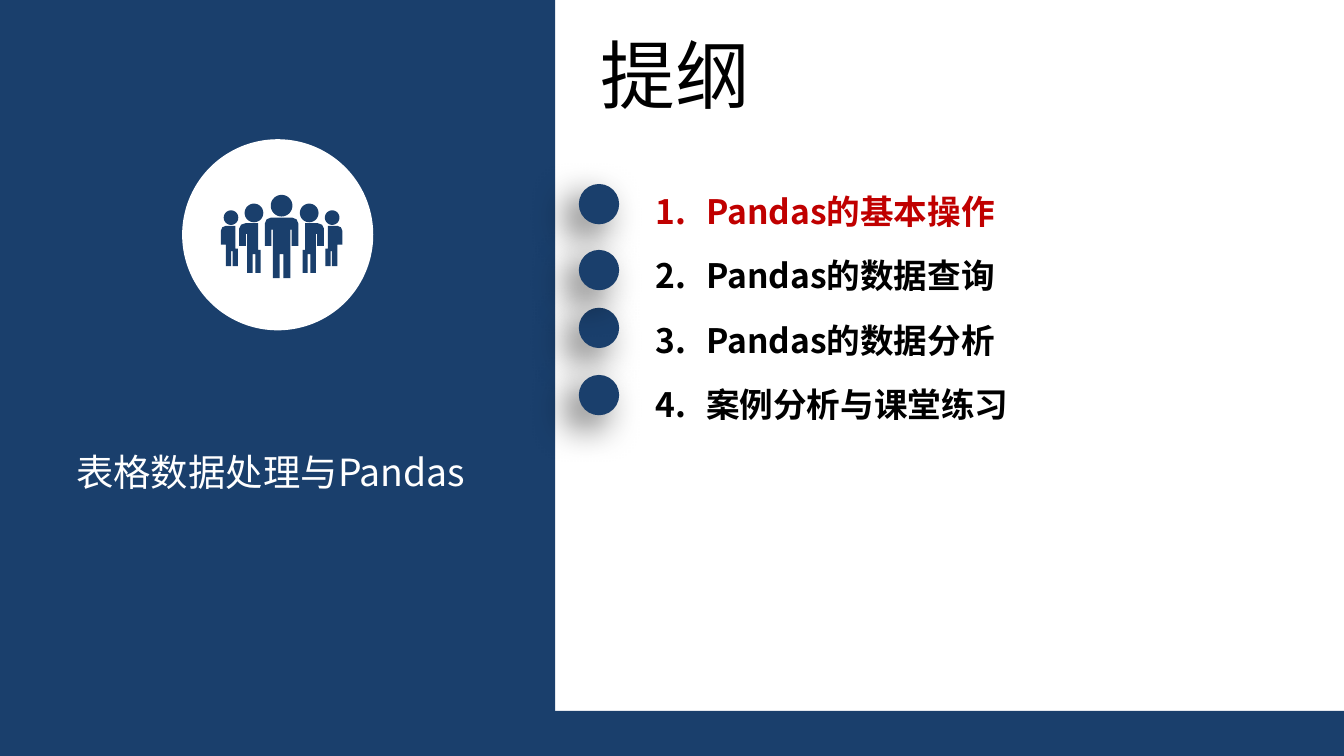
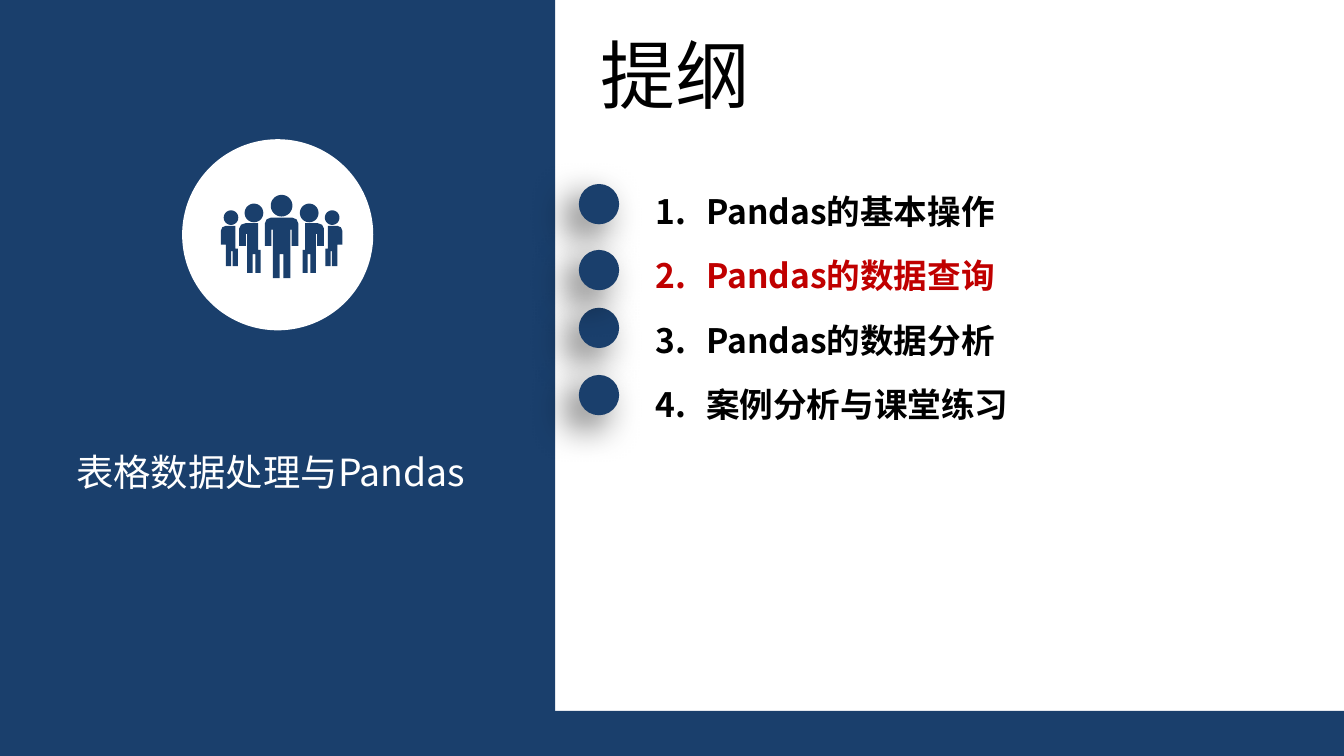
import math

import lxml.etree
import pptx
import pptx.dml.color
import pptx.enum.shapes
import pptx.enum.text
import pptx.oxml.ns
import pptx.util

Pt = pptx.util.Pt
qn = pptx.oxml.ns.qn
SHAPE = pptx.enum.shapes.MSO_SHAPE
ALIGN = pptx.enum.text.PP_ALIGN
AUTO_SIZE = pptx.enum.text.MSO_AUTO_SIZE

NAVY = pptx.dml.color.RGBColor(0x1A, 0x3F, 0x6C)
WHITE = pptx.dml.color.RGBColor(0xFF, 0xFF, 0xFF)
BLACK = pptx.dml.color.RGBColor(0, 0, 0)
RED = pptx.dml.color.RGBColor(0xC0, 0, 0)
FONT = "Noto Sans CJK SC"

WIDTH, HEIGHT = 720, 405
PANEL_WIDTH = 297.4
BAND_TOP = 380.8
DOT_LEFT, DOT_SIZE = 310.1, 21.6
DOT_TOPS = [98.6, 164.9, 133.9, 200.9]
TOPICS = ["Pandas的基本操作", "Pandas的数据查询", "Pandas的数据分析", "案例分析与课堂练习"]

# People icon: horizontal distances are measured from its axis of symmetry.
AXIS = 150.9
HEADS = [(0, 110.2, 5.8), (14.8, 114.1, 5), (-14.8, 114.1, 5),
         (27.1, 116.6, 3.9), (-27.1, 116.6, 3.9)]
LEADER_HALF = [(0, 136.1), (1, 136.1), (1, 149), (4.7, 149), (4.7, 123.1), (5.4, 123.1),
               (5.4, 131.8), (9, 131.8), (9, 119.8), (8, 117.5), (5.7, 116.6), (0, 116.6)]
MIDDLE_BODY = [(11.2, 133.9), (11.2, 146.2), (14, 146.2), (14, 136.1), (15.5, 136.1),
               (15.5, 146.2), (18.4, 146.2), (18.4, 125.3), (19.1, 125.3), (19.1, 131.8),
               (22.7, 131.8), (22.7, 122.4), (21.7, 120.4), (19.1, 119.5), (12.6, 119.5),
               (12.6, 133.9)]
OUTER_BODY = [(23.4, 133.2), (23.4, 142.6), (26.3, 142.6), (26.3, 134.6), (27, 134.6),
              (27, 142.6), (29.9, 142.6), (29.9, 131), (32.6, 131), (32.6, 123.8),
              (31.8, 121.8), (29.9, 121), (24.8, 121), (24.8, 133.2)]

outlines = [LEADER_HALF + [(-x, y) for x, y in reversed(LEADER_HALF)]]
for body in (MIDDLE_BODY, OUTER_BODY):
    outlines += [body, [(-x, y) for x, y in body]]
for x, y, radius in HEADS:
    angles = [math.radians(step * 10) for step in range(36)]
    outlines.append([(x + radius * math.cos(a), y + radius * math.sin(a)) for a in angles])
outlines = [[(Pt(AXIS + x), Pt(y)) for x, y in outline] for outline in outlines]


def add_filled(shapes, kind, left, top, width, height, color):
    shape = shapes.add_shape(kind, Pt(left), Pt(top), Pt(width), Pt(height))
    shape.shadow.inherit = False
    shape.fill.solid()
    shape.fill.fore_color.rgb = color
    shape.line.fill.background()
    return shape


def add_text(slide, lines, left, top, width, height, *, size, colors, bold=False,
             align=ALIGN.LEFT, wrap=False, inset=True, numbered=False, spacing=None):
    frame = slide.shapes.add_textbox(Pt(left), Pt(top), Pt(width), Pt(height)).text_frame
    frame.word_wrap = wrap
    frame.auto_size = AUTO_SIZE.SHAPE_TO_FIT_TEXT
    if not inset:
        frame.margin_left = frame.margin_top = frame.margin_right = frame.margin_bottom = 0
    for index, (line, color) in enumerate(zip(lines, colors)):
        paragraph = frame.paragraphs[0] if index == 0 else frame.add_paragraph()
        paragraph.alignment = align
        if spacing:
            paragraph.line_spacing = spacing
        if numbered:
            properties = paragraph._p.get_or_add_pPr()
            properties.set("marL", str(Pt(27)))
            properties.set("indent", str(-Pt(27)))
            lxml.etree.SubElement(properties, qn("a:buFont"), typeface="+mj-lt")
            lxml.etree.SubElement(properties, qn("a:buAutoNum"), type="arabicPeriod")
        run = paragraph.add_run()
        run.text = line
        run.font.size = Pt(size)
        run.font.bold = bold
        run.font.color.rgb = color
        run.font.name = FONT
        lxml.etree.SubElement(run._r.get_or_add_rPr(), qn("a:ea"), typeface=FONT)


deck = pptx.Presentation()
deck.slide_width, deck.slide_height = Pt(WIDTH), Pt(HEIGHT)

for current in (0, 1):
    slide = deck.slides.add_slide(deck.slide_layouts[6])
    add_filled(slide.shapes, SHAPE.RECTANGLE, 0, BAND_TOP, WIDTH, HEIGHT - BAND_TOP, NAVY)
    add_filled(slide.shapes, SHAPE.RECTANGLE, 0, 0, PANEL_WIDTH, HEIGHT, NAVY)
    add_text(slide, ["提纲"], 314.6, 12.2, 95, 55.4, size=40, colors=[BLACK])
    add_text(slide, ["表格数据处理与Pandas"], 38.9, 240.5, 212.4, 24.5, size=20,
             colors=[WHITE], align=ALIGN.CENTER, wrap=True, inset=False)

    icon = slide.shapes.add_group_shape()
    add_filled(icon.shapes, SHAPE.OVAL, 97.6, 74.6, 102.4, 102.4, WHITE)
    builder = icon.shapes.build_freeform(*outlines[0][0])
    for outline in outlines:
        builder.move_to(*outline[0])
        builder.add_line_segments(outline[1:], close=True)
    people = builder.convert_to_shape()
    people.shadow.inherit = False
    people.fill.solid()
    people.fill.fore_color.rgb = NAVY
    people.line.fill.background()

    topic_colors = [RED if index == current else BLACK for index in range(len(TOPICS))]
    add_text(slide, TOPICS, 344.2, 85.7, 205.2, 146.9, size=18, colors=topic_colors,
             bold=True, numbered=True, spacing=1.6)

    for top in DOT_TOPS:
        dot = add_filled(slide.shapes, SHAPE.OVAL, DOT_LEFT, top, DOT_SIZE, DOT_SIZE, NAVY)
        effects = dot._element.spPr.find(qn("a:effectLst"))
        shadow = lxml.etree.SubElement(effects, qn("a:outerShdw"), blurRad=str(Pt(20)),
                                       dist=str(Pt(10)), dir=str(135 * 60000),
                                       algn="tr", rotWithShape="0")
        tint = lxml.etree.SubElement(shadow, qn("a:srgbClr"), val=str(BLACK))
        lxml.etree.SubElement(tint, qn("a:alpha"), val="60000")

deck.save("out.pptx")
